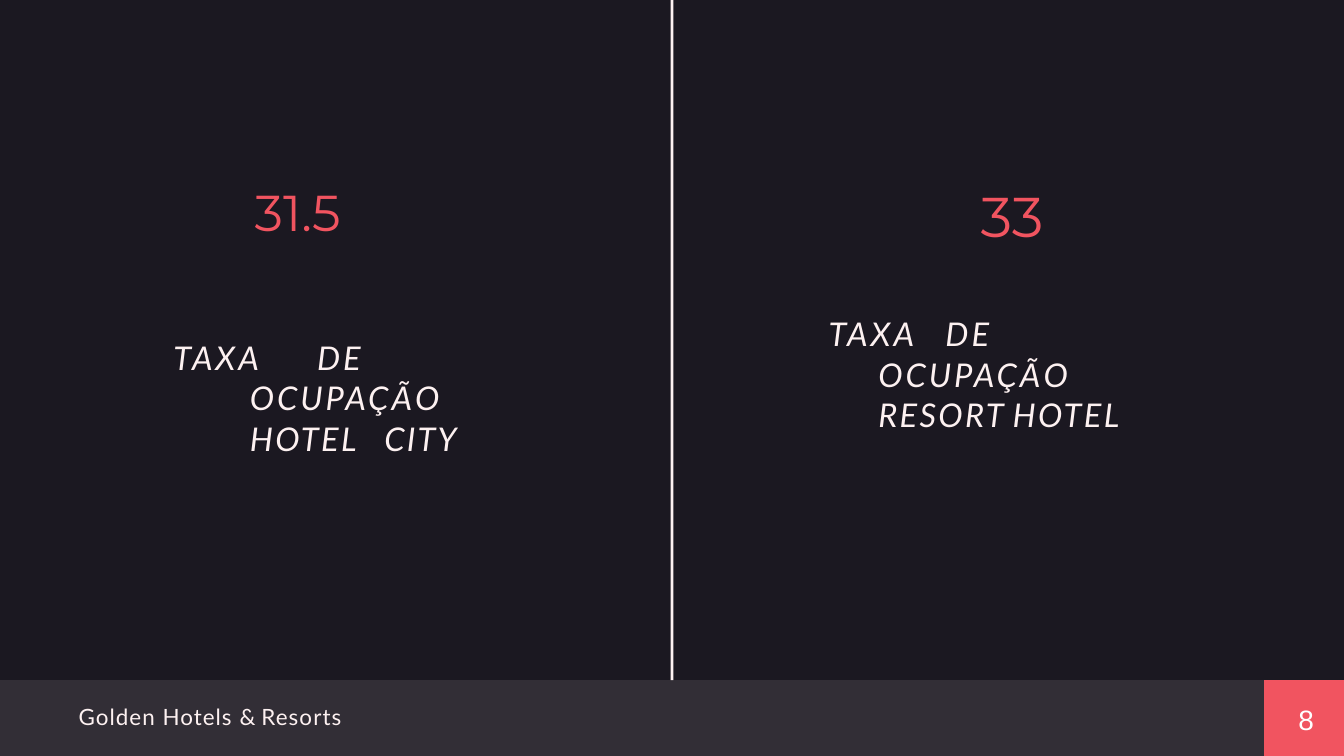
import pptx
import pptx.dml.color
import pptx.enum.shapes
import pptx.enum.text
import pptx.util
from pptx.util import Inches, Pt

DARK, CREAM, CORAL, WHITE = "1B1821", "FDF1F1", "F15460", "FFFFFF"
ALIGN = pptx.enum.text.PP_ALIGN

# Label lines; each run is (text, letter spacing in points)
LABEL_START = [("TAX", 3.1), ("A\t", 0), ("D", 3.1), ("E", 0)]
OCCUPANCY = [("OCUPAÇÃ", 3.1), ("O", 0)]
CITY_LABEL = [LABEL_START, OCCUPANCY, [("HOTEL\t", 2.5), ("CITY", 2.3)]]
RESORT_LABEL = [LABEL_START, OCCUPANCY, [("RESORT\tHOTEL", 2.5)]]
FOOTER = [[("Golden Hotels ", 1.1), ("& ", 0), ("Resorts", 1.2)]]

# Left, top, width, height, colour, opacity in percent
BARS = [
    (9.98, 0, 0.04, 10.12, CREAM, 100),
    (0, 10.12, 18.81, 1.13, CREAM, 10),
    (18.81, 10.12, 1.19, 1.13, CORAL, 100),
]


def set_color(color_format, value):
    color_format.rgb = pptx.dml.color.RGBColor.from_string(value)


def add_bar(slide, left, top, width, height, color, opacity):
    bar = slide.shapes.add_shape(
        pptx.enum.shapes.MSO_SHAPE.RECTANGLE,
        Inches(left), Inches(top), Inches(width), Inches(height))
    bar.shadow.inherit = False
    bar.line.fill.background()
    bar.fill.solid()
    set_color(bar.fill.fore_color, color)
    if opacity < 100:
        color_element = bar.fill._xPr.find(".//" + pptx.oxml.ns.qn("a:srgbClr"))
        alpha = pptx.oxml.parse_xml(
            f'<a:alpha {pptx.oxml.ns.nsdecls("a")} val="{opacity * 1000}"/>')
        color_element.append(alpha)


def prepare_box(shape, left, top, width, height, inset_top=0.01):
    """Place a text shape and return its frame, top-anchored with no side insets."""
    shape.left, shape.top = Inches(left), Inches(top)
    shape.width, shape.height = Inches(width), Inches(height)
    frame = shape.text_frame
    frame.word_wrap = True
    frame.auto_size = pptx.enum.text.MSO_AUTO_SIZE.NONE
    frame.vertical_anchor = pptx.enum.text.MSO_ANCHOR.TOP
    frame.margin_left = frame.margin_right = frame.margin_bottom = 0
    frame.margin_top = Inches(inset_top)
    return frame


def add_text_box(slide, *place):
    return prepare_box(slide.shapes.add_textbox(0, 0, 0, 0), *place)


def write(paragraph, lines, font, size, color, italic=False, align=ALIGN.LEFT):
    paragraph.alignment = align
    for index, line in enumerate(lines):
        if index:
            paragraph.add_line_break()
        for text, spacing in line:
            run = paragraph.add_run()
            run.text = text
            run.font.name, run.font.size = font, Pt(size)
            run.font.bold, run.font.italic = False, italic
            set_color(run.font.color, color)
            if spacing:
                run.font._element.set("spc", str(round(spacing * 100)))


def write_label(paragraph, lines, indent, line_spacing):
    """Write an italic label whose later lines hang at the indent."""
    properties = paragraph._p.get_or_add_pPr()
    properties.set("marL", str(Inches(indent)))
    properties.set("indent", str(-Inches(indent)))
    properties.set("defTabSz", str(Inches(1)))
    paragraph.line_spacing = line_spacing
    write(paragraph, lines, "Lato", 35, CREAM, italic=True)


def main():
    presentation = pptx.Presentation()
    presentation.slide_width, presentation.slide_height = Inches(20), Inches(11.25)
    slide = presentation.slides.add_slide(presentation.slide_layouts[5])
    slide.background.fill.solid()
    set_color(slide.background.fill.fore_color, DARK)

    for bar in BARS:
        add_bar(slide, *bar)

    city_rate = prepare_box(slide.shapes.title, 3.79, 2.69, 1.77, 0.92)
    write(city_rate.paragraphs[0], [[("31.5", 0)]], "Montserrat", 54, CORAL)
    city = add_text_box(slide, 2.58, 4.98, 5.24, 1.22, 0.02)
    write_label(city.paragraphs[0], CITY_LABEL, 1.14, Pt(43.5))

    resort = add_text_box(slide, 12.33, 2.69, 5.46, 3.27)
    write(resort.paragraphs[0], [[("33", 0)]], "Montserrat", 60, CORAL,
          align=ALIGN.CENTER)
    resort_label = resort.add_paragraph()
    resort_label.space_before = Pt(68.1)
    write_label(resort_label, RESORT_LABEL, 0.74, 1.04)

    page = add_text_box(slide, 19.32, 10.32, 0.32, 0.68, 0.14)
    write(page.paragraphs[0], [[("8", 0)]], "Arial", 30, WHITE)
    footer = add_text_box(slide, 1.17, 10.46, 4.09, 0.43)
    write(footer.paragraphs[0], FOOTER, "Lato", 24, CREAM)

    presentation.save("out.pptx")


if __name__ == "__main__":
    main()
